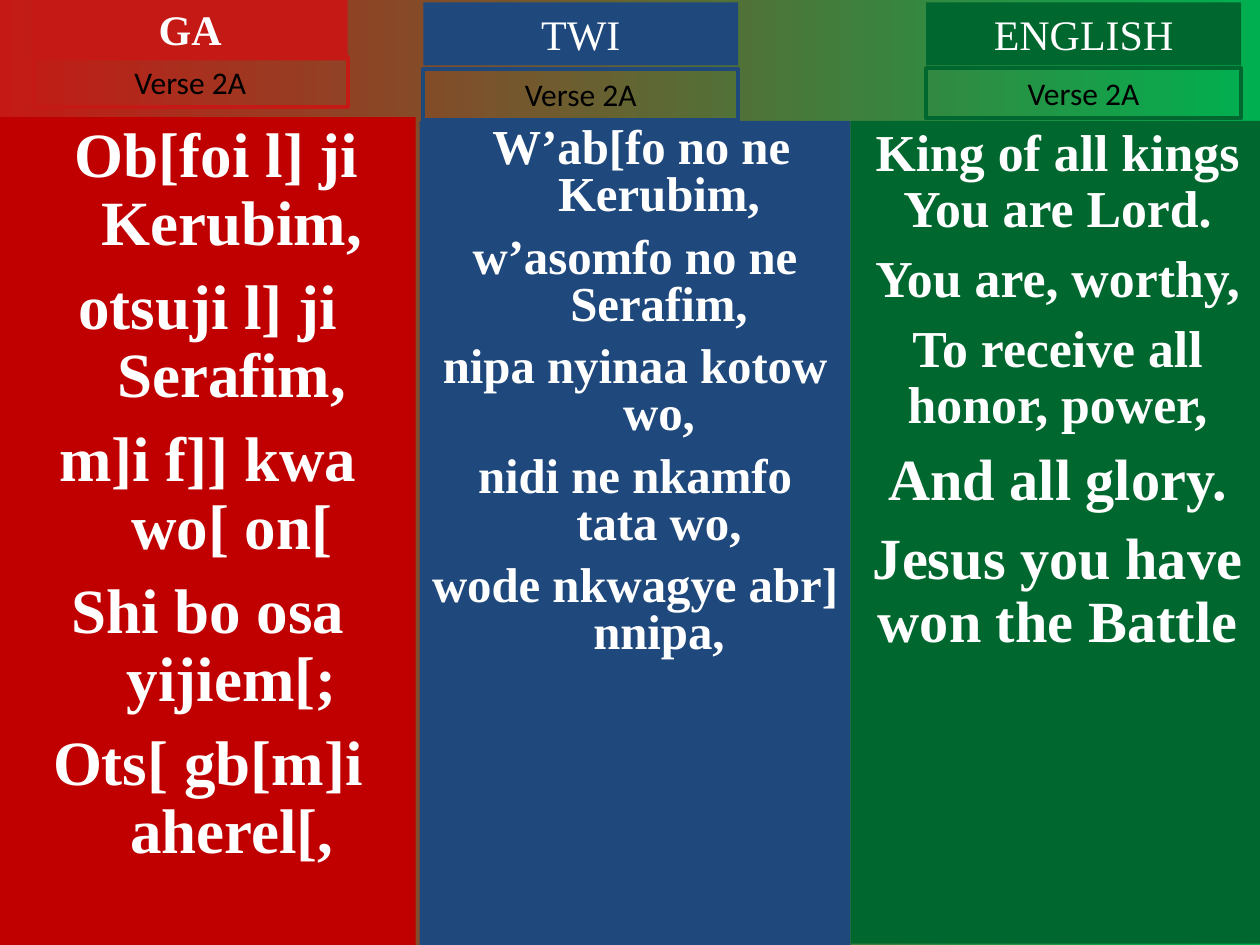
from dataclasses import dataclass

from pptx import Presentation
from pptx.dml.color import RGBColor
from pptx.enum.shapes import MSO_SHAPE
from pptx.enum.text import MSO_ANCHOR, PP_ALIGN
from pptx.util import Inches, Pt

RECTANGLE = MSO_SHAPE.RECTANGLE
TOP = MSO_ANCHOR.TOP
CENTER = PP_ALIGN.CENTER


@dataclass(frozen=True)
class Theme:
    """Colours, fonts and type sizes of the slide."""
    backdrop: tuple = ("C51915", "00B050")
    light: str = "FFFFFF"
    dark: str = "000000"
    lyric_font: str = "Times New Roman"
    verse_font: str = "Calibri"
    title_size: float = 24
    verse_size: float = 18
    border: float = 2.25


THEME = Theme()
VERSE = "Verse 2A"
LABEL_WIDTH, TITLE_HEIGHT, VERSE_HEIGHT = 2.5, 0.5, 0.4
HANGING = 0.38

COLUMNS = [
    {
        "title": "GA", "bold": True, "label": "C51915", "panel": "C00000",
        "box": (0, 0.93, 3.3, 6.57), "label_left": 0.26, "title_top": -0.02, "verse_top": 0.45,
        "leading": 0.9, "hanging": HANGING, "first_shift": 0.14,
        "lyrics": [
            ("Ob[foi l] ji Kerubim,", 36, 0),
            ("otsuji l] ji Serafim,", 36, 9),
            ("m]i f]] kwa wo[ on[", 36, 9),
            ("Shi bo osa yijiem[;", 36, 9),
            ("Ots[ gb[m]i aherel[,", 36, 9),
        ],
    },
    {
        "title": "TWI", "bold": False, "label": "1F497D", "panel": "1F497D",
        "box": (3.33, 0.96, 3.42, 6.54), "label_left": 3.36, "title_top": 0.02, "verse_top": 0.55,
        "leading": 0.8, "hanging": HANGING, "first_shift": 0.1,
        "lyrics": [
            ("W’ab[fo no ne Kerubim,", 27.9, 0),
            ("w’asomfo no ne Serafim,", 27.9, 9),
            ("nipa nyinaa kotow wo,", 27.9, 9),
            ("nidi ne nkamfo tata wo,", 27.9, 9),
            ("wode nkwagye abr] nnipa,", 27.9, 9),
        ],
    },
    {
        "title": "ENGLISH", "bold": False, "label": "00682F", "panel": "00682F",
        "box": (6.75, 0.96, 3.29, 6.53), "label_left": 7.35, "title_top": 0.02, "verse_top": 0.54,
        "leading": 0.9, "hanging": 0, "first_shift": 0,
        "lyrics": [
            ("King of all kings You are Lord.", 29.6, 0),
            ("You are, worthy,", 29.6, 8),
            ("To receive all honor, power,", 29.6, 8),
            ("And all glory.", 33.3, 9),
            ("Jesus you have won the Battle", 33.3, 9),
        ],
    },
]


def add_box(slide, box, fill=None, border=None):
    """Add a rectangle and return its text frame."""
    panel = slide.shapes.add_shape(RECTANGLE, *map(Inches, box))
    panel.shadow.inherit = False
    if fill:
        panel.fill.solid()
        panel.fill.fore_color.rgb = RGBColor.from_string(fill)
    else:
        panel.fill.background()
    if border:
        panel.line.color.rgb = RGBColor.from_string(border)
        panel.line.width = Pt(THEME.border)
    else:
        panel.line.fill.background()
    panel.text_frame.word_wrap = True
    panel.text_frame.vertical_anchor = TOP
    return panel.text_frame


def write(paragraph, words, size, font, colour, bold=False):
    """Write one centred run."""
    paragraph.alignment = CENTER
    run = paragraph.add_run()
    run.text = words
    run.font.size = Pt(size)
    run.font.name = font
    run.font.bold = bold
    run.font.color.rgb = RGBColor.from_string(colour)


def add_lyrics(slide, column):
    """Add the panel with the lines of one language."""
    frame = add_box(slide, column["box"], fill=column["panel"])
    for index, (words, size, gap) in enumerate(column["lyrics"]):
        paragraph = frame.add_paragraph() if index else frame.paragraphs[0]
        paragraph.line_spacing = column["leading"]
        if gap:
            paragraph.space_before = Pt(gap)
        if column["hanging"]:
            shift = 0 if index else column["first_shift"]
            properties = paragraph._p.get_or_add_pPr()
            properties.set("marL", str(Inches(column["hanging"])))
            properties.set("indent", str(Inches(shift - column["hanging"])))
        write(paragraph, words, size, THEME.lyric_font, THEME.light, bold=True)


def add_labels(slide, column):
    """Add the language title and the verse label."""
    left = column["label_left"]
    title = add_box(slide, (left, column["title_top"], LABEL_WIDTH, TITLE_HEIGHT), fill=column["label"])
    write(title.paragraphs[0], column["title"], THEME.title_size, THEME.lyric_font, THEME.light, column["bold"])
    verse = add_box(slide, (left, column["verse_top"], LABEL_WIDTH, VERSE_HEIGHT), border=column["label"])
    write(verse.paragraphs[0], VERSE, THEME.verse_size, THEME.verse_font, THEME.dark)


def main():
    """Build the three-language verse slide."""
    deck = Presentation()
    deck.slide_width, deck.slide_height = Inches(10), Inches(7.5)
    slide = deck.slides.add_slide(deck.slide_layouts[6])
    backdrop = slide.background.fill
    backdrop.gradient()
    backdrop.gradient_angle = 0
    for position, (stop, colour) in enumerate(zip(backdrop.gradient_stops, THEME.backdrop)):
        stop.position = position
        stop.color.rgb = RGBColor.from_string(colour)
    for column in COLUMNS:
        add_lyrics(slide, column)
        add_labels(slide, column)
    deck.save("out.pptx")


if __name__ == "__main__":
    main()
